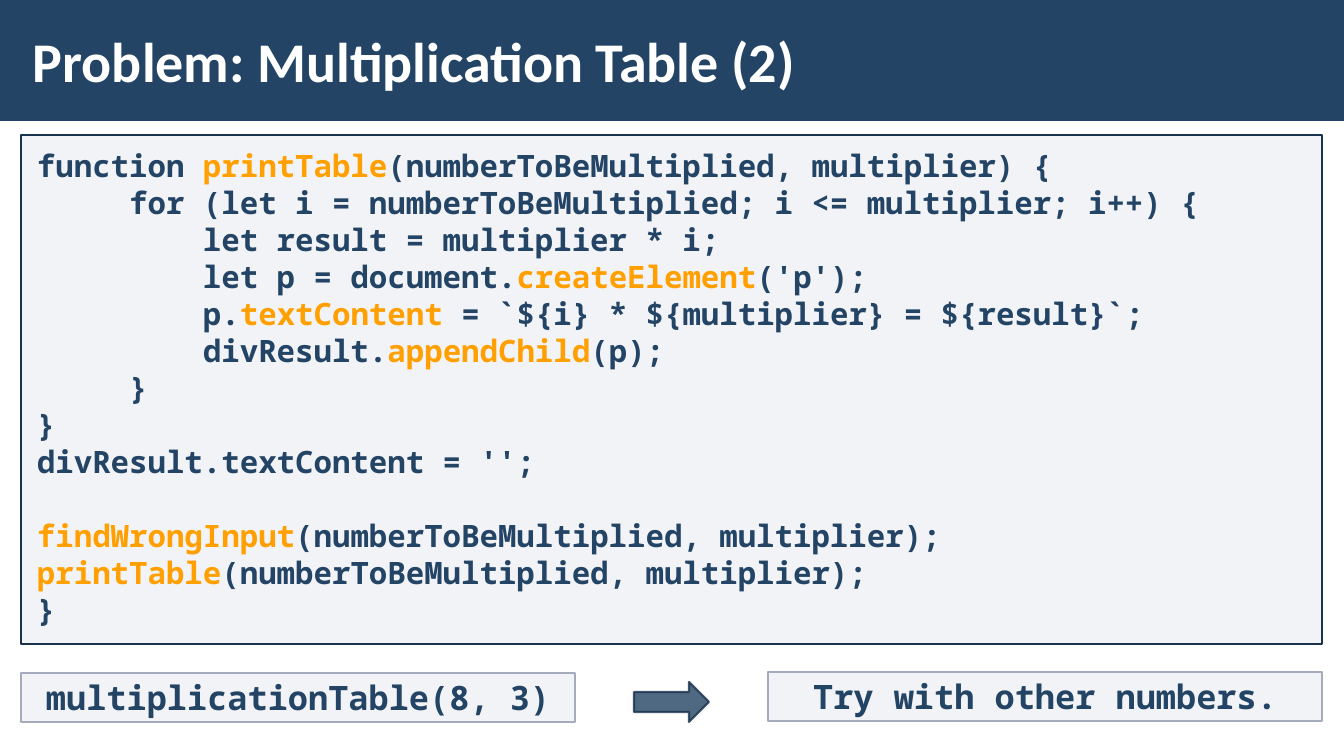
from dataclasses import dataclass

from lxml.etree import SubElement
from pptx import Presentation
from pptx.dml.color import RGBColor
from pptx.enum.shapes import MSO_SHAPE
from pptx.enum.text import MSO_ANCHOR, MSO_AUTO_SIZE, PP_ALIGN
from pptx.oxml.ns import qn
from pptx.util import Emu, Pt


@dataclass(frozen=True)
class Theme:
    navy: str = "234465"
    outline: str = "1A334C"
    white: str = "FFFFFF"
    highlight: str = "FFA000"
    panel: str = "ADB4C3"
    label: str = "C2C7D2"
    label_outline: str = "A3ABBC"
    title_font: str = "Calibri"
    code_font: str = "Noto Sans Mono"
    title_size: int = 40
    code_size: int = 22
    label_size: int = 24
    line_height: float = 1.2


CODE = """\
function |printTable|(numberToBeMultiplied, multiplier) {
     for (let i = numberToBeMultiplied; i <= multiplier; i++) {
         let result = multiplier * i;
         let p = document.|createElement|('p');
         p.|textContent |= `${i} * ${multiplier} = ${result}`;
         divResult.|appendChild|(p);
     }
}
divResult.textContent = '';

|findWrongInput|(numberToBeMultiplied, multiplier);
|printTable|(numberToBeMultiplied, multiplier);
}"""


def px(count):
    return Emu(round(count * 914400 / 100.8))


def set_values(target, values):
    for name, value in values.items():
        setattr(target, name, value)


def set_alpha(solid_fill, percent):
    color = solid_fill.find(qn("a:srgbClr"))
    SubElement(color, qn("a:alpha"), val=str(percent * 1000))


class SlideBuilder:
    """Draws themed elements on one slide, with lengths in px."""

    def __init__(self, presentation, theme):
        self.theme = theme
        self.slide = presentation.slides.add_slide(presentation.slide_layouts[5])

    def place(self, shape, box):
        set_values(shape, dict(zip(("left", "top", "width", "height"), map(px, box))))

    def format_frame(self, frame, anchor, margin_x, margin_y):
        set_values(frame, {
            "word_wrap": True,
            "auto_size": MSO_AUTO_SIZE.NONE,
            "vertical_anchor": anchor,
            "margin_left": px(margin_x),
            "margin_right": px(margin_x),
            "margin_top": px(margin_y),
            "margin_bottom": px(margin_y),
        })

    def run(self, paragraph, text, font, size, color):
        run = paragraph.add_run()
        run.text = text
        set_values(run.font, {"name": font, "size": Pt(size), "bold": True})
        run.font.color.rgb = RGBColor.from_string(color)

    def title(self, text, box):
        title = self.slide.shapes.title
        self.place(title, box)
        self.format_frame(title.text_frame, MSO_ANCHOR.MIDDLE, 12, 4)
        paragraph = title.text_frame.paragraphs[0]
        paragraph.alignment = PP_ALIGN.LEFT
        theme = self.theme
        self.run(paragraph, text, theme.title_font, theme.title_size, theme.white)

    def shape(self, kind, box, fill, fill_alpha=100, line=None, line_width=1, line_alpha=100):
        shape = self.slide.shapes.add_shape(kind, *map(px, box))
        shape.shadow.inherit = False
        shape.fill.solid()
        shape.fill.fore_color.rgb = RGBColor.from_string(fill)
        properties = shape.element.spPr
        if fill_alpha < 100:
            set_alpha(properties.find(qn("a:solidFill")), fill_alpha)
        if line is None:
            shape.line.fill.background()
            return shape
        shape.line.color.rgb = RGBColor.from_string(line)
        shape.line.width = Pt(line_width)
        if line_alpha < 100:
            set_alpha(properties.find(qn("a:ln")).find(qn("a:solidFill")), line_alpha)
        return shape

    def header(self, box):
        bar = self.shape(MSO_SHAPE.RECTANGLE, box, self.theme.navy)
        self.slide.shapes.title.element.addprevious(bar.element)

    def code_lines(self, frame, text, size, alignment):
        theme = self.theme
        for index, block in enumerate(text.replace("\n\n", "\n\v").split("\n")):
            paragraph = frame.paragraphs[0] if index == 0 else frame.add_paragraph()
            set_values(paragraph, {
                "alignment": alignment,
                "line_spacing": Pt(size * theme.line_height),
            })
            if block.startswith("\v"):
                paragraph.add_line_break()
            for position, part in enumerate(block.lstrip("\v").split("|")):
                color = theme.highlight if position % 2 else theme.navy
                if part:
                    self.run(paragraph, part, theme.code_font, size, color)

    def code_panel(self, text, box):
        theme = self.theme
        panel = self.shape(MSO_SHAPE.RECTANGLE, box, theme.panel, 15, theme.outline)
        self.format_frame(panel.text_frame, MSO_ANCHOR.TOP, 16, 12)
        self.code_lines(panel.text_frame, text, theme.code_size, PP_ALIGN.LEFT)

    def label(self, text, box):
        theme = self.theme
        label = self.shape(MSO_SHAPE.RECTANGLE, box, theme.label, 20, theme.label_outline)
        self.format_frame(label.text_frame, MSO_ANCHOR.TOP, 8, 4)
        self.code_lines(label.text_frame, text, theme.label_size, PP_ALIGN.CENTER)

    def arrow(self, box):
        theme = self.theme
        self.shape(MSO_SHAPE.RIGHT_ARROW, box, theme.navy, 80, theme.outline, 1.5, 80)


def main():
    presentation = Presentation()
    set_values(presentation, {"slide_width": px(1344), "slide_height": px(756)})
    builder = SlideBuilder(presentation, Theme())
    builder.header((0, 0, 1344, 121))
    builder.title("Problem: Multiplication Table (2)", (21, 11, 1048, 98))
    builder.label("multiplicationTable(8, 3)", (21, 673, 554, 49))
    builder.label("Try with other numbers.", (768, 672, 554, 49))
    builder.code_panel(CODE, (21, 135, 1301, 509))
    builder.arrow((634, 682, 75, 40))
    presentation.save("out.pptx")


if __name__ == "__main__":
    main()
